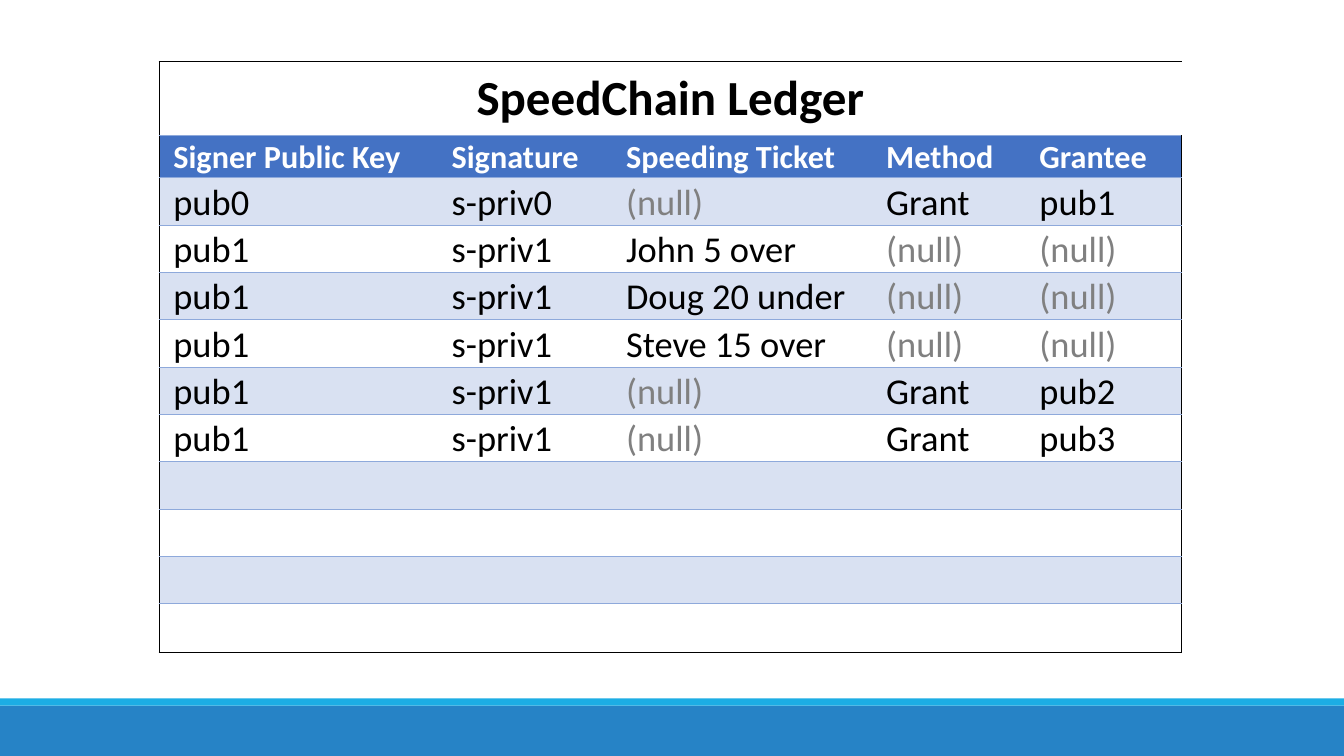
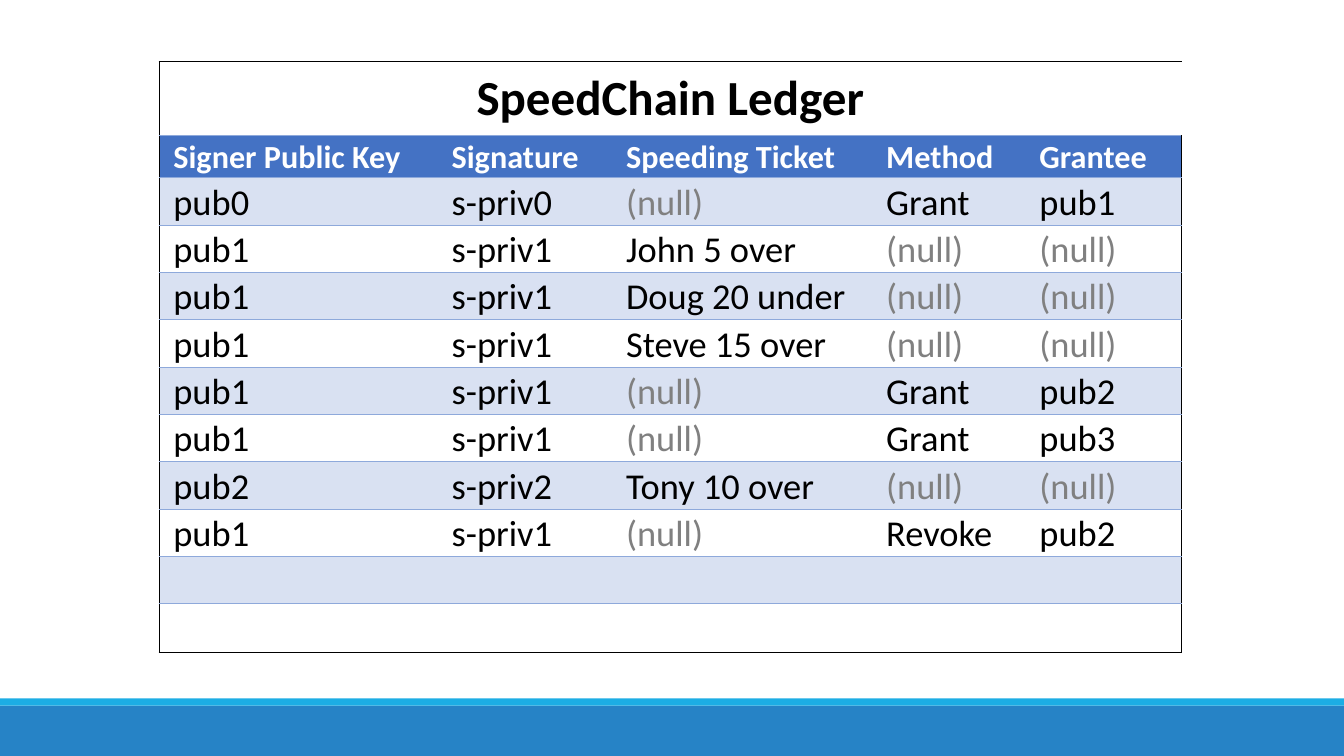
from lxml.etree import SubElement
from pptx import Presentation
from pptx.dml.color import RGBColor
from pptx.enum.shapes import MSO_SHAPE
from pptx.enum.text import MSO_ANCHOR, PP_ALIGN
from pptx.oxml.ns import qn
from pptx.util import Inches, Pt

BLACK = RGBColor(0x00, 0x00, 0x00)
WHITE = RGBColor(0xFF, 0xFF, 0xFF)
GRAY = RGBColor(0x80, 0x80, 0x80)
HEADER_BLUE = RGBColor(0x44, 0x72, 0xC4)
STRIPE_BLUE = RGBColor(0xD9, 0xE1, 0xF2)
RULE_BLUE = RGBColor(0x8E, 0xA9, 0xDB)
BAND_BLUE = RGBColor(0x26, 0x83, 0xC6)
BAND_CYAN = RGBColor(0x1C, 0xAD, 0xE4)

FONT = "Calibri"
WIDTH, HEIGHT = 13.33, 7.5
EMPTY = "(null)"
TITLE = "SpeedChain Ledger"
HEADERS = ["Signer Public Key", "Signature", "Speeding Ticket", "Method", "Grantee"]
COLUMN_WIDTHS = [2.76, 1.73, 2.58, 1.52, 1.55]
ENTRY_SLOTS = 10
ROW_HEIGHTS = [0.63, 0.42] + [0.47] * (ENTRY_SLOTS - 1) + [0.48]
TITLE_MARGINS = (0.15, 0.07, 0.15, 0.07)
CELL_MARGINS = (0.14, 0.02, 0.02, 0)

FIRST_ENTRIES = [
    ("pub0", "s-priv0", EMPTY, "Grant", "pub1"),
    ("pub1", "s-priv1", "John 5 over", EMPTY, EMPTY),
    ("pub1", "s-priv1", "Doug 20 under", EMPTY, EMPTY),
    ("pub1", "s-priv1", "Steve 15 over", EMPTY, EMPTY),
    ("pub1", "s-priv1", EMPTY, "Grant", "pub2"),
    ("pub1", "s-priv1", EMPTY, "Grant", "pub3"),
]
LATER_ENTRIES = [
    ("pub2", "s-priv2", "Tony 10 over", EMPTY, EMPTY),
    ("pub1", "s-priv1", EMPTY, "Revoke", "pub2"),
]


class LedgerDeck:
    """Hold the deck style and the slide being built."""

    def __init__(self):
        self.deck = Presentation()
        self.deck.slide_width = Inches(WIDTH)
        self.deck.slide_height = Inches(HEIGHT)
        self.page = None

    def add_page(self):
        self.page = self.deck.slides.add_slide(self.deck.slide_layouts[6])
        self.add_band(7, 0.5, BAND_BLUE)
        self.add_band(6.93, 0.07, BAND_CYAN)

    def add_band(self, top, height, color):
        band = self.page.shapes.add_shape(
            MSO_SHAPE.RECTANGLE, 0, Inches(top), Inches(WIDTH), Inches(height))
        band.shadow.inherit = False
        band.fill.solid()
        band.fill.fore_color.rgb = color
        band.line.fill.background()

    def add_ledger(self, entries):
        blank_rows = [("",) * len(HEADERS)] * (ENTRY_SLOTS - len(entries))
        rows = [HEADERS, *entries, *blank_rows]
        table = self.page.shapes.add_table(
            len(ROW_HEIGHTS), len(HEADERS), Inches(1.58), Inches(0.61),
            Inches(10.13), Inches(5.85)).table
        table.first_row = False
        table.horz_banding = False
        for column, width in zip(table.columns, COLUMN_WIDTHS):
            column.width = Inches(width)
        for row, height in zip(table.rows, ROW_HEIGHTS):
            row.height = Inches(height)
        self.add_borders(table)
        self.add_title(table)
        for row_index, values in enumerate(rows, start=1):
            is_header = row_index == 1
            stripe = STRIPE_BLUE if row_index % 2 == 0 else None
            fill = HEADER_BLUE if is_header else stripe
            for column_index, value in enumerate(values):
                cell = table.cell(row_index, column_index)
                text_color = GRAY if value == EMPTY else BLACK
                self.fill_cell(cell, fill)
                self.write_cell(cell, value, 23 if is_header else 26,
                                WHITE if is_header else text_color,
                                is_header, CELL_MARGINS)

    def add_title(self, table):
        for cell in table.rows[0].cells:
            self.fill_cell(cell, None)
        title = table.cell(0, 0)
        title.merge(table.cell(0, len(HEADERS) - 1))
        self.write_cell(title, TITLE, 35, BLACK, True, TITLE_MARGINS)
        title.text_frame.paragraphs[0].alignment = PP_ALIGN.CENTER

    def add_borders(self, table):
        last_row, last_column = len(table.rows) - 1, len(table.columns) - 1
        frame, rule = (BLACK, 1), (RULE_BLUE, 0.5)
        for row_index, row in enumerate(table.rows):
            for column_index, cell in enumerate(row.cells):
                on_left = column_index == 0
                on_right = column_index == last_column
                self.add_border(cell, "a:lnL", frame if on_left else None)
                self.add_border(cell, "a:lnR", frame if on_right else None)
                self.add_border(cell, "a:lnT", frame if row_index == 0 else rule)
                self.add_border(cell, "a:lnB", frame if row_index == last_row else rule)

    def add_border(self, cell, side, style):
        properties = cell._tc.get_or_add_tcPr()
        line = SubElement(properties, qn(side))
        if style is None:
            SubElement(line, qn("a:noFill"))
            return
        color, width = style
        line.set("w", str(Pt(width)))
        fill = SubElement(line, qn("a:solidFill"))
        SubElement(fill, qn("a:srgbClr")).set("val", str(color))

    def fill_cell(self, cell, color):
        if color is None:
            cell.fill.background()
        else:
            cell.fill.solid()
            cell.fill.fore_color.rgb = color

    def write_cell(self, cell, text, size, color, bold, margins):
        left, top, right, bottom = (Inches(margin) for margin in margins)
        cell.margin_left, cell.margin_top = left, top
        cell.margin_right, cell.margin_bottom = right, bottom
        cell.vertical_anchor = MSO_ANCHOR.BOTTOM
        cell.text_frame.text = text
        for span in cell.text_frame.paragraphs[0].runs:
            span.font.name = FONT
            span.font.size = Pt(size)
            span.font.bold = bold
            span.font.color.rgb = color


def main():
    ledger_deck = LedgerDeck()
    for entries in (FIRST_ENTRIES, FIRST_ENTRIES + LATER_ENTRIES):
        ledger_deck.add_page()
        ledger_deck.add_ledger(entries)
    ledger_deck.deck.save("out.pptx")


if __name__ == "__main__":
    main()
